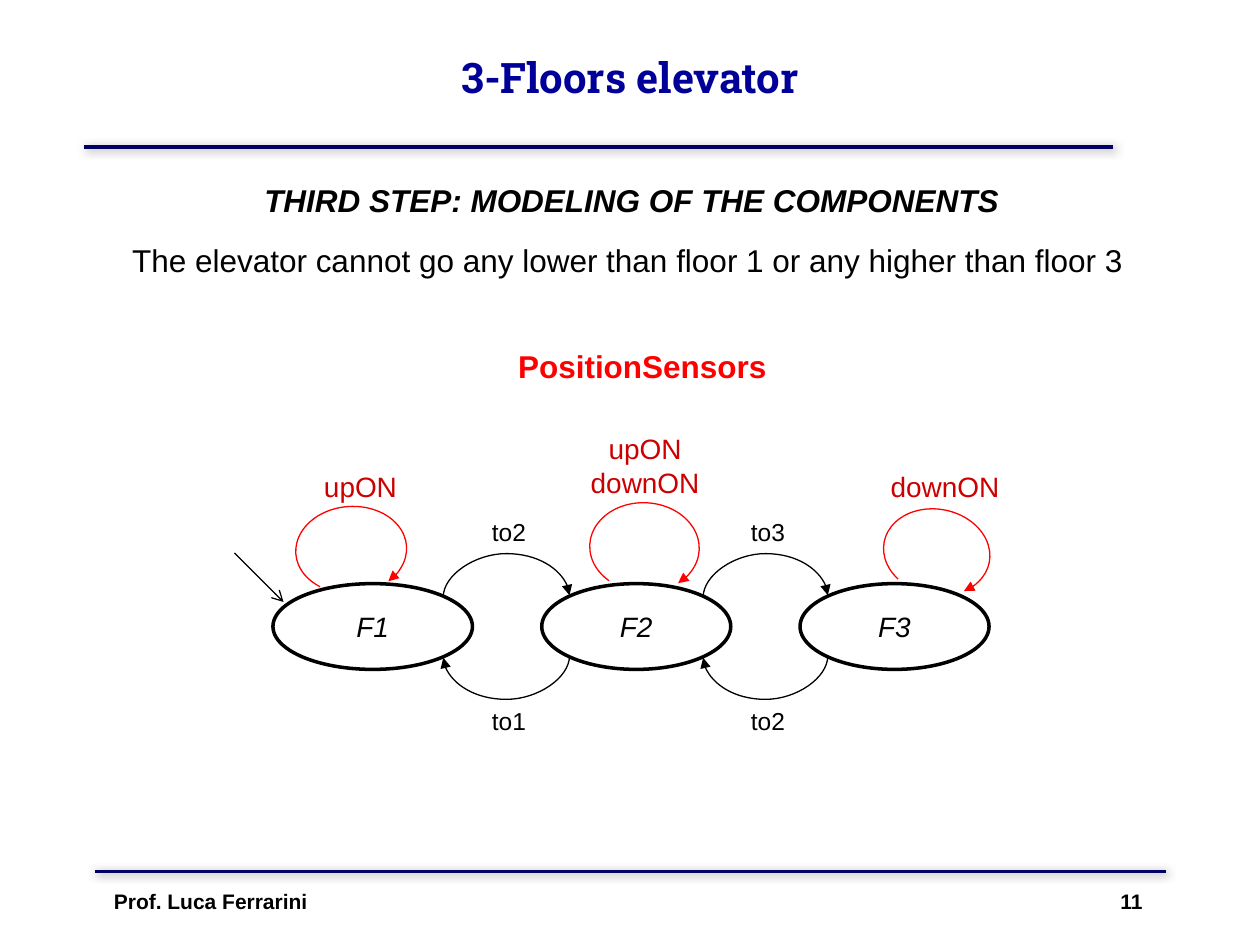
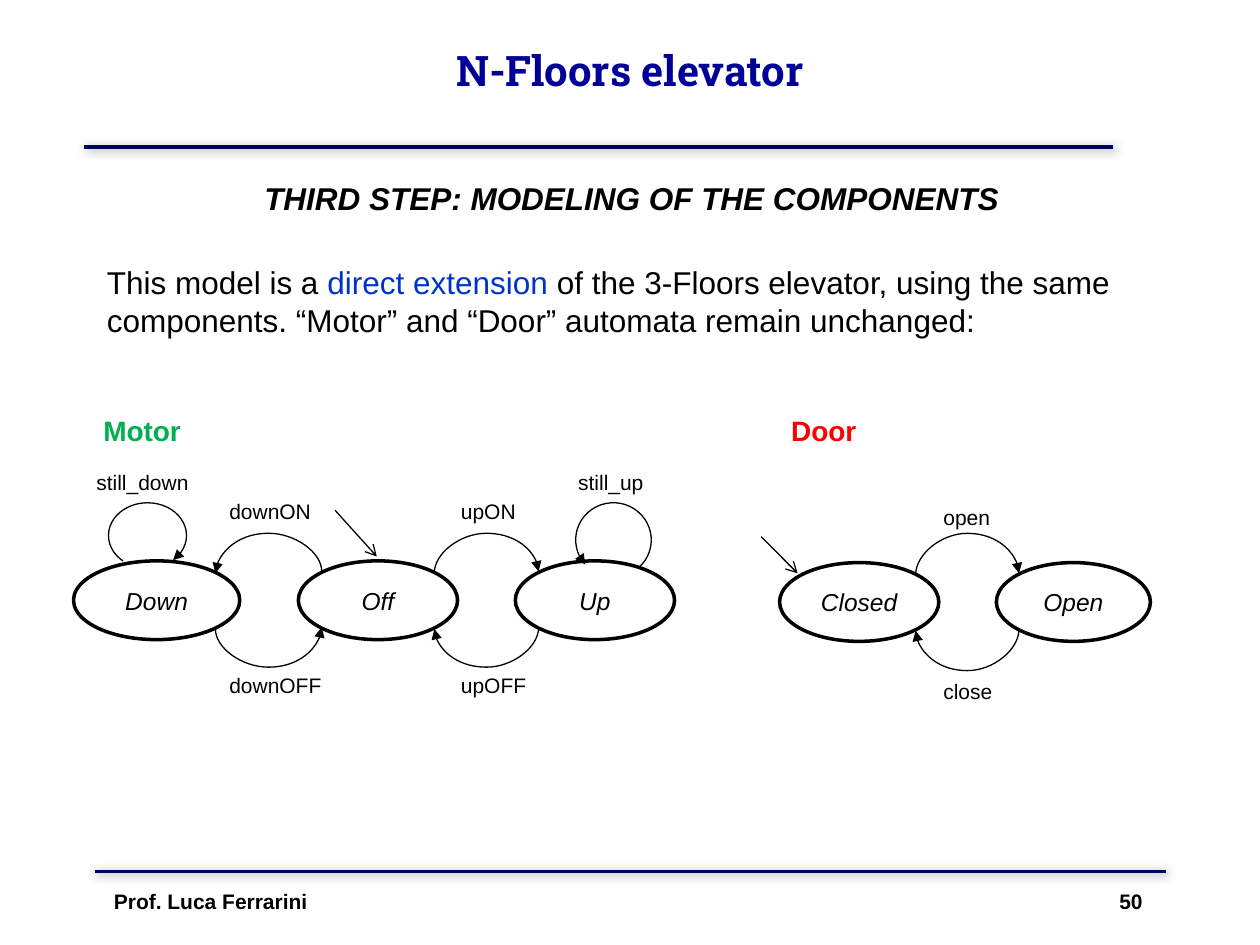
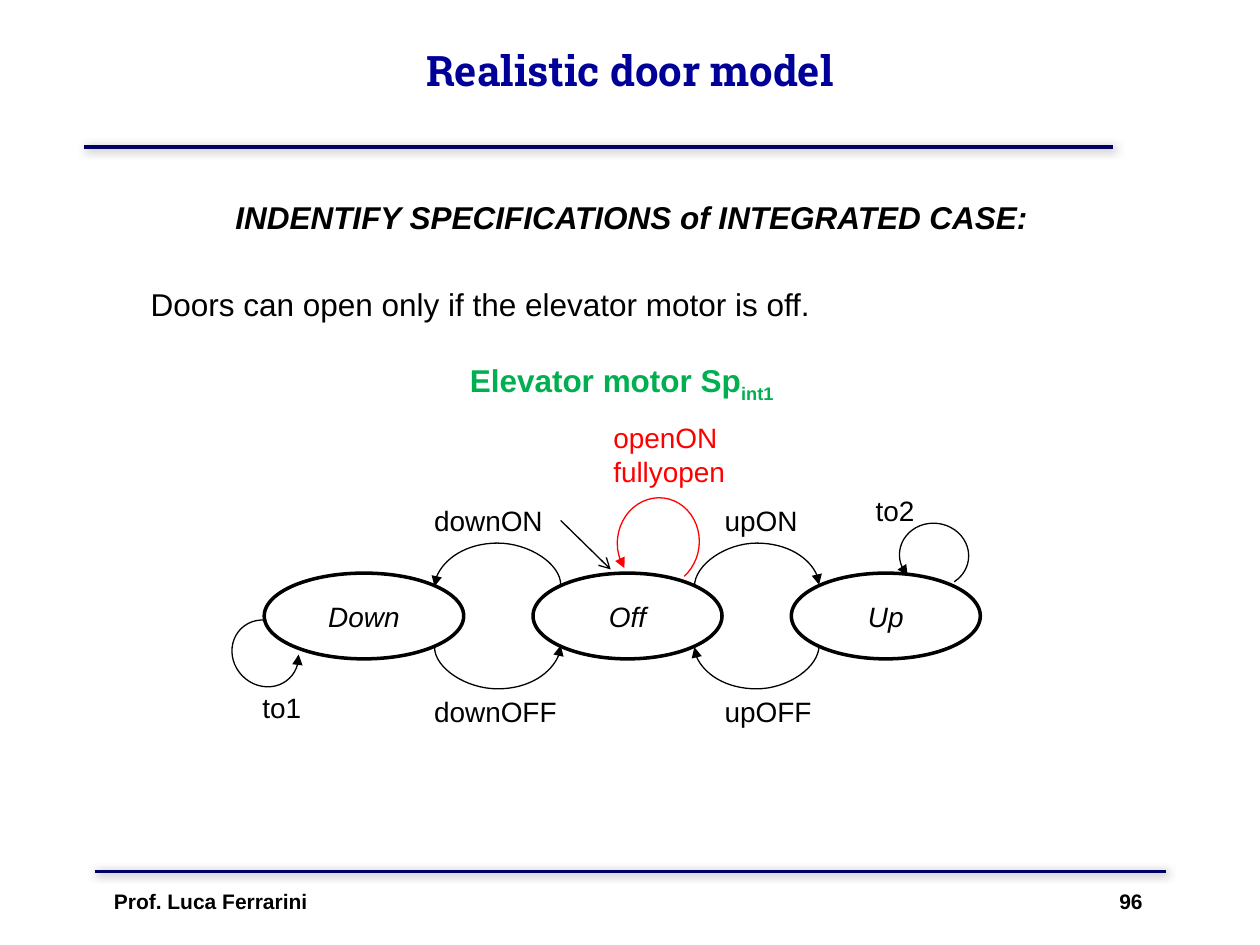
from dataclasses import dataclass
from math import cos, pi

from lxml import etree
from pptx import Presentation
from pptx.dml.color import RGBColor
from pptx.enum.shapes import MSO_CONNECTOR, MSO_SHAPE
from pptx.enum.text import MSO_ANCHOR, MSO_AUTO_SIZE, PP_ALIGN
from pptx.oxml.ns import qn
from pptx.util import Pt

LEFT, CENTER, RIGHT = PP_ALIGN.LEFT, PP_ALIGN.CENTER, PP_ALIGN.RIGHT
MIDDLE = MSO_ANCHOR.MIDDLE
GROW = MSO_AUTO_SIZE.SHAPE_TO_FIT_TEXT
STRAIGHT, CURVE = MSO_CONNECTOR.STRAIGHT, MSO_CONNECTOR.CURVE
ELLIPSE, ARC = MSO_SHAPE.OVAL, MSO_SHAPE.ARC
TITLE_ONLY = 5


@dataclass(frozen=True)
class Theme:
    ink: str = "000000"
    paper: str = "FFFFFF"
    title: str = "000099"
    rule: str = "000066"
    shadow: str = "808080"
    accent: str = "0033CC"
    red: str = "FF0000"
    dark_red: str = "CC0000"
    green: str = "00B050"
    text_font: str = "Arial"
    title_font: str = "Roboto Slab"
    title_size: int = 24
    text_size: int = 18
    large_size: int = 16
    medium_size: int = 14
    small_size: int = 12
    rule_width: float = 2.25
    state_width: float = 2
    arrow_width: float = 0.75


THEME = Theme()


@dataclass(frozen=True)
class Span:
    text: str
    size: int = THEME.text_size
    color: str = THEME.ink
    bold: bool = False
    italic: bool = False
    font: str = THEME.text_font
    baseline: int = 0


@dataclass(frozen=True)
class Transition:
    source: str
    target: str
    above: bool
    label: str
    label_at: tuple


@dataclass(frozen=True)
class Loop:
    box: tuple
    rotation: float
    flipped: bool
    color: str
    label: str
    label_box: tuple
    label_align: PP_ALIGN = CENTER
    label_color: str = THEME.ink


@dataclass(frozen=True)
class Automaton:
    box: tuple
    row: float
    state_height: float
    bulge: float
    states: dict
    entry: tuple
    transitions: tuple
    loops: tuple
    state_size: int
    label_size: int
    loop_size: int


def rgb(color):
    return RGBColor.from_string(color)


def write(paragraph, spans, align=LEFT):
    paragraph.alignment = align
    for span in spans:
        run = paragraph.add_run()
        run.text = span.text
        font = run.font
        font.name, font.size = span.font, Pt(span.size)
        font.bold, font.italic = span.bold, span.italic
        font.color.rgb = rgb(span.color)
        if span.baseline:
            run._r.get_or_add_rPr().set("baseline", str(span.baseline * 1000))


def add_text(slide, left, top, width, lines, align=LEFT, spacing=None):
    height = sum(line[0].size * 1.2 for line in lines) + 7.2
    frame = slide.shapes.add_textbox(Pt(left), Pt(top), Pt(width), Pt(height)).text_frame
    frame.word_wrap = True
    frame.auto_size = GROW
    for index, line in enumerate(lines):
        paragraph = frame.add_paragraph() if index else frame.paragraphs[0]
        write(paragraph, line, align)
        if spacing:
            paragraph.line_spacing = spacing


def style_line(shape, color, width, arrow_end=None, arrow_type="triangle"):
    shape.line.color.rgb = rgb(color)
    shape.line.width = Pt(width)
    if arrow_end:
        ln = shape.line._get_or_add_ln()
        etree.SubElement(ln, qn(f"a:{arrow_end}End"), type=arrow_type)


def add_line(slide, kind, start, end):
    line = slide.shapes.add_connector(kind, *map(Pt, start + end))
    effects = etree.SubElement(line._element.spPr, qn("a:effectLst"))
    return line, effects


def draw_master_rules(presentation, slide):
    for left, right, y in ((48, 636, 84), (54, 666, 498)):
        rule, effects = add_line(slide, STRAIGHT, (left, y), (right, y))
        style_line(rule, THEME.rule, THEME.rule_width)
        effects.getparent().append(effects)
        shadow = etree.SubElement(effects, qn("a:outerShdw"), blurRad=str(Pt(5)),
                                  dist=str(Pt(1.4)), dir=str(45 * 60000), algn="ctr", rotWithShape="0")
        tint = etree.SubElement(shadow, qn("a:srgbClr"), val=THEME.shadow)
        etree.SubElement(tint, qn("a:alpha"), val="75000")
        presentation.slide_master.shapes._spTree.append(rule._element)


def draw_title(slide, box, text):
    title = slide.shapes.title
    title.left, title.top, title.width, title.height = map(Pt, box)
    title.text_frame.vertical_anchor = MIDDLE
    span = Span(text, THEME.title_size, THEME.title, bold=True, font=THEME.title_font)
    write(title.text_frame.paragraphs[0], [span], CENTER)


def draw_footer(slide, number):
    left, top, width = 58, 504, 602
    for text, offset, align in (("Prof. Luca Ferrarini", 0, LEFT), (number, width / 2, RIGHT)):
        span = Span(text, THEME.small_size, bold=True)
        add_text(slide, left + offset, top, width / 2, [[span]], align)


def draw_subtitle(slide, top, text):
    add_text(slide, 50, top, 622, [[Span(text, bold=True, italic=True)]], CENTER)


def draw_state(slide, center_x, center_y, width, height, name, size):
    state = slide.shapes.add_shape(ELLIPSE, Pt(center_x - width / 2), Pt(center_y - height / 2),
                                   Pt(width), Pt(height))
    state.shadow.inherit = False
    state.fill.solid()
    state.fill.fore_color.rgb = rgb(THEME.paper)
    style_line(state, THEME.ink, THEME.state_width)
    state.text_frame.vertical_anchor = MIDDLE
    write(state.text_frame.paragraphs[0], [Span(name, size, italic=True)], CENTER)


def draw_arch(slide, left_x, right_x, y, bulge, above, rightward):
    span, depth = right_x - left_x, 1
    x = (left_x + right_x - depth) / 2
    arch, _ = add_line(slide, CURVE, (x, y - span / 2), (x + depth, y + span / 2))
    frame = arch._element.spPr.find(qn("a:xfrm"))
    frame.set("rot", str(90 * 60000))
    if above:
        frame.set("flipH", "1")
        frame.set("flipV", "1")
    geometry = arch._element.spPr.find(qn("a:prstGeom"))
    guides = geometry.find(qn("a:avLst"))
    etree.SubElement(guides, qn("a:gd"), name="adj1", fmla=f"val {round(bulge / depth * 100000)}")
    style_line(arch, THEME.ink, THEME.arrow_width, "tail" if above == rightward else "head")


def draw_loop(slide, left, top, loop, size):
    x, y, width, height = loop.box
    arc = slide.shapes.add_shape(ARC, Pt(left + x), Pt(top + y), Pt(width), Pt(height))
    arc.adjustments[0], arc.adjustments[1] = 81.6, 27.6
    arc.rotation = loop.rotation
    if loop.flipped:
        arc._element.spPr.find(qn("a:xfrm")).set("flipH", "1")
    arc.shadow.inherit = False
    arc.fill.background()
    style_line(arc, loop.color, THEME.arrow_width, "head")
    label_x, label_y, label_width = loop.label_box
    lines = [[Span(text, size, loop.label_color)] for text in loop.label.split("\n")]
    add_text(slide, left + label_x, top + label_y, label_width, lines, loop.label_align)


def draw_automaton(slide, model):
    left, top = model.box
    center_y = top + model.row
    diagonal = cos(pi / 4) / 2
    for name, (center_x, width) in model.states.items():
        draw_state(slide, left + center_x, center_y, width, model.state_height, name, model.state_size)
    (start_x, start_y), (end_x, end_y) = model.entry
    entry, _ = add_line(slide, STRAIGHT, (left + start_x, top + start_y), (left + end_x, top + end_y))
    style_line(entry, THEME.ink, THEME.arrow_width, "tail", "arrow")
    for move in model.transitions:
        source, target = model.states[move.source], model.states[move.target]
        first, second = sorted((source, target))
        side = -1 if move.above else 1
        draw_arch(slide, left + first[0] + first[1] * diagonal, left + second[0] - second[1] * diagonal,
                  center_y + side * model.state_height * diagonal, model.bulge, move.above, source < target)
        label_x, label_y = move.label_at
        add_text(slide, left + label_x, top + label_y, 92, [[Span(move.label, model.label_size)]])
    for loop in model.loops:
        draw_loop(slide, left, top, loop, model.loop_size)


def position_sensors():
    red = dict(flipped=True, color=THEME.red, label_color=THEME.dark_red)
    return Automaton(
        box=(134, 243), row=115, state_height=49, bulge=25,
        states={"F1": (79, 114), "F2": (229.6, 108), "F3": (377.2, 108)},
        entry=((0, 73), (28, 101)),
        transitions=(
            Transition("F1", "F2", True, "to2", (140, 49)),
            Transition("F2", "F1", False, "to1", (140, 157)),
            Transition("F2", "F3", True, "to3", (288, 49)),
            Transition("F3", "F2", False, "to2", (288, 157)),
        ),
        loops=(
            Loop((35, 46.4, 63.4, 49.7), 356.2, label="upON", label_box=(26, 22, 92), **red),
            Loop((203, 44.3, 62.6, 51), 2.8, label="upON\ndownON", label_box=(188.6, 0, 92), **red),
            Loop((370.7, 48, 61.2, 49), 11.1, label="downON", label_box=(360, 22, 92), **red),
        ),
        state_size=THEME.large_size, label_size=THEME.medium_size, loop_size=THEME.large_size)


def motor_transitions(down_x, up_x, on_y, off_y):
    return (
        Transition("Off", "Down", True, "downON", (down_x, on_y)),
        Transition("Down", "Off", False, "downOFF", (down_x, off_y)),
        Transition("Off", "Up", True, "upON", (up_x, on_y)),
        Transition("Up", "Off", False, "upOFF", (up_x, off_y)),
    )


def motor():
    return Automaton(
        box=(42, 233), row=110, state_height=45, bulge=23,
        states={"Down": (47.5, 95), "Off": (174, 91), "Up": (298, 91)},
        entry=((149.5, 58.6), (173.3, 85)),
        transitions=motor_transitions(82, 214.3, 48.5, 147.5),
        loops=(
            Loop((20, 54.3, 44.6, 37.4), 0, True, THEME.ink, "still_down", (6, 32, 76), LEFT),
            Loop((287, 54.3, 43.2, 42.5), 2.9, False, THEME.ink, "still_up", (281.3, 32, 76), LEFT),
        ),
        state_size=THEME.medium_size, label_size=THEME.small_size, loop_size=THEME.small_size)


def door():
    return Automaton(
        box=(435, 233), row=111, state_height=45, bulge=24,
        states={"Closed": (56, 91), "Open": (178.4, 88)},
        entry=((0, 73.7), (20.8, 94.6)),
        transitions=(
            Transition("Closed", "Open", True, "open", (97, 52)),
            Transition("Open", "Closed", False, "close", (97, 151.5)),
        ),
        loops=(),
        state_size=THEME.medium_size, label_size=THEME.small_size, loop_size=THEME.small_size)


def motor_specification():
    return Automaton(
        box=(129, 237), row=115, state_height=49, bulge=25,
        states={"Down": (79, 114), "Off": (229.6, 108), "Up": (377.2, 108)},
        entry=((191.4, 60.4), (220, 88.4)),
        transitions=motor_transitions(112, 278, 47.4, 156.5),
        loops=(
            Loop((385, 62, 39.6, 36.7), 6.7, False, THEME.ink, "to2", (346, 41.6, 73)),
            Loop((2.8, 118, 39.6, 36.7), 225.9, False, THEME.ink, "to1", (5.6, 154, 53)),
            Loop((223.8, 47.4, 46.8, 51), 6.7, False, THEME.red, "openON\nfullyopen", (214.4, 0, 88),
                 LEFT, THEME.red),
        ),
        state_size=THEME.large_size, label_size=THEME.large_size, loop_size=THEME.large_size)


def fill_three_floors(slide):
    draw_title(slide, (54, -1, 612, 90), "3-Floors elevator")
    draw_subtitle(slide, 100, "THIRD STEP: MODELING OF THE COMPONENTS")
    add_text(slide, 68.4, 134, 622,
             [[Span("The elevator cannot go any lower than floor 1 or any higher than floor 3")]])
    add_text(slide, 289, 195, 321, [[Span("PositionSensors", color=THEME.red, bold=True)]])
    draw_automaton(slide, position_sensors())


def fill_n_floors(slide):
    draw_title(slide, (66, -5, 588, 90), "N-Floors elevator")
    draw_subtitle(slide, 99, "THIRD STEP: MODELING OF THE COMPONENTS")
    add_text(slide, 54, 147, 595, [[
        Span("This model is a "),
        Span("direct extension ", color=THEME.accent),
        Span("of the 3-Floors elevator, using the same components. "
             "“Motor” and “Door” automata remain unchanged:"),
    ]])
    for name, color, model in (("Motor", THEME.green, motor()), ("Door", THEME.red, door())):
        left, top = model.box
        add_text(slide, left + 10, top, 68, [[Span(name, THEME.large_size, color, bold=True)]])
        draw_automaton(slide, model)


def fill_door_model(slide):
    draw_title(slide, (66, -5, 588, 90), "Realistic door model")
    draw_subtitle(slide, 109.4, "INDENTIFY SPECIFICATIONS of INTEGRATED CASE:")
    add_text(slide, 79, 138, 561, [[Span("Doors can open only if the elevator motor is off.")]], spacing=2)
    heading = dict(color=THEME.green, bold=True)
    add_text(slide, 261.4, 203, 194,
             [[Span("Elevator motor Sp", **heading), Span("int1", baseline=-25, **heading)]])
    draw_automaton(slide, motor_specification())


def main():
    presentation = Presentation()
    presentation.slide_width, presentation.slide_height = Pt(720), Pt(540)
    pages = (("11", fill_three_floors), ("50", fill_n_floors), ("96", fill_door_model))
    for index, (number, fill_page) in enumerate(pages):
        slide = presentation.slides.add_slide(presentation.slide_layouts[TITLE_ONLY])
        if index == 0:
            draw_master_rules(presentation, slide)
        fill_page(slide)
        draw_footer(slide, number)
    presentation.save("out.pptx")


if __name__ == "__main__":
    main()
